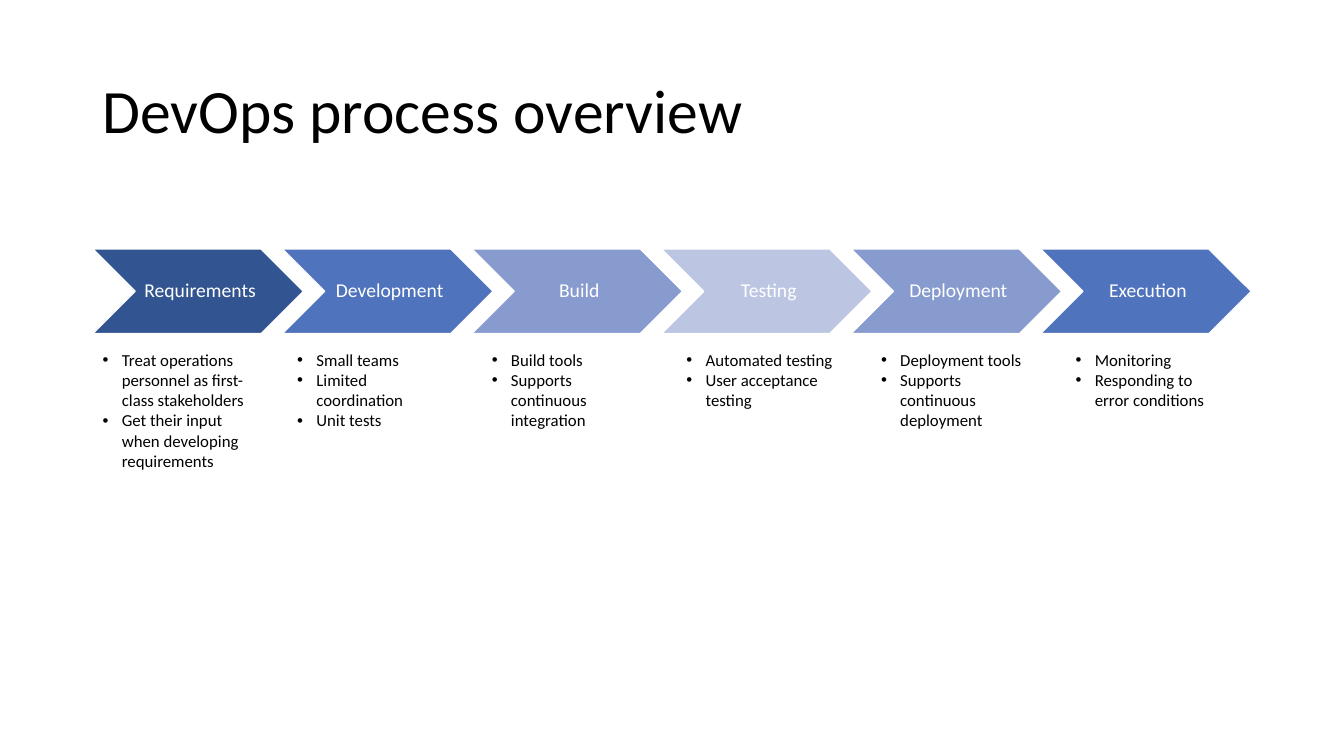
from dataclasses import dataclass
from typing import Any

from lxml import etree
from pptx import Presentation
from pptx import util as u
from pptx.dml.color import RGBColor
from pptx.enum import shapes, text
from pptx.oxml import ns

COLORS = {
    "ink": "000000",
    "white": "FFFFFF",
    "navy": "325491",
    "blue": "4F73BD",
    "soft": "879BCE",
    "pale": "BCC6E2",
}
FONT = "Calibri"
LEFT = 0.92
STAGE_STEP, NOTE_STEP = 1.88, 1.93
NOTE_INDENT = u.Inches(0.19)

TITLE_FRAME = {"word_wrap": True, "vertical_anchor": text.MSO_ANCHOR.MIDDLE}
STAGE_FRAME = {
    **TITLE_FRAME,
    "margin_left": u.Inches(0.06),
    "margin_right": u.Inches(0.02),
    "margin_top": u.Inches(0.02),
    "margin_bottom": u.Inches(0.02),
}
NOTE_FRAME = {"word_wrap": True, "auto_size": text.MSO_AUTO_SIZE.SHAPE_TO_FIT_TEXT}
TITLE_PARAGRAPH = {"line_spacing": 0.9}
STAGE_PARAGRAPH = {"line_spacing": 0.9, "alignment": text.PP_ALIGN.CENTER}


@dataclass(frozen=True)
class Stage:
    name: str
    color: str
    note_height: float
    notes: tuple[str, ...]


STAGES = (
    Stage("Requirements", "navy", 1.31, (
        "Treat operations personnel as first-class stakeholders",
        "Get their input when developing requirements")),
    Stage("Development", "blue", 0.91, ("Small teams", "Limited coordination", "Unit tests")),
    Stage("Build", "soft", 0.91, ("Build tools", "Supports continuous integration")),
    Stage("Testing", "pale", 0.71, ("Automated testing", "User acceptance testing")),
    Stage("Deployment", "soft", 0.91, ("Deployment tools", "Supports continuous deployment")),
    Stage("Execution", "blue", 0.71, ("Monitoring", "Responding to error conditions")),
)


def rgb(color: str) -> RGBColor:
    return RGBColor.from_string(COLORS[color])


def apply_format(target: Any, values: dict[str, Any]) -> None:
    for name, value in values.items():
        setattr(target, name, value)


def write(frame: Any, lines: tuple[str, ...], size: int, color: str,
          frame_format: dict[str, Any], paragraph_format: dict[str, Any]) -> None:
    apply_format(frame, frame_format)
    for index, line in enumerate(lines):
        paragraph = frame.add_paragraph() if index else frame.paragraphs[0]
        apply_format(paragraph, paragraph_format)
        run = paragraph.add_run()
        run.text = line
        apply_format(run.font, {"name": FONT, "size": u.Pt(size)})
        run.font.color.rgb = rgb(color)


def add_bullets(frame: Any) -> None:
    for paragraph in frame.paragraphs:
        properties = paragraph._p.get_or_add_pPr()
        properties.set("marL", str(NOTE_INDENT))
        properties.set("indent", str(-NOTE_INDENT))
        etree.SubElement(properties, ns.qn("a:buFont"), typeface="Arial")
        etree.SubElement(properties, ns.qn("a:buChar"), char="•")


def draw_stage(slide: Any, stage: Stage, index: int) -> None:
    chevron = slide.shapes.add_shape(
        shapes.MSO_SHAPE.CHEVRON, u.Inches(LEFT + index * STAGE_STEP), u.Inches(2.47),
        u.Inches(2.09), u.Inches(0.84))
    chevron.shadow.inherit = False
    chevron.fill.solid()
    chevron.fill.fore_color.rgb = rgb(stage.color)
    chevron.line.color.rgb = rgb("white")
    chevron.line.width = u.Pt(1)
    write(chevron.text_frame, (stage.name,), 14, "white", STAGE_FRAME, STAGE_PARAGRAPH)


def draw_notes(slide: Any, stage: Stage, index: int) -> None:
    notes = slide.shapes.add_textbox(
        u.Inches(LEFT + index * NOTE_STEP), u.Inches(3.42),
        u.Inches(1.66), u.Inches(stage.note_height))
    write(notes.text_frame, stage.notes, 12, "ink", NOTE_FRAME, {})
    add_bullets(notes.text_frame)


presentation = Presentation()
presentation.slide_width = u.Inches(13.33)
presentation.slide_height = u.Inches(7.5)
overview = presentation.slides.add_slide(presentation.slide_layouts[6])

# Title
title = overview.shapes.add_textbox(u.Inches(LEFT), u.Inches(0.4), u.Inches(11.5), u.Inches(1.45))
write(title.text_frame, ("DevOps process overview",), 44, "ink", TITLE_FRAME, TITLE_PARAGRAPH)

# Process chevrons
for position, stage in enumerate(STAGES):
    draw_stage(overview, stage, position)

# Notes under each stage
for position, stage in enumerate(STAGES):
    draw_notes(overview, stage, position)

presentation.save("out.pptx")
